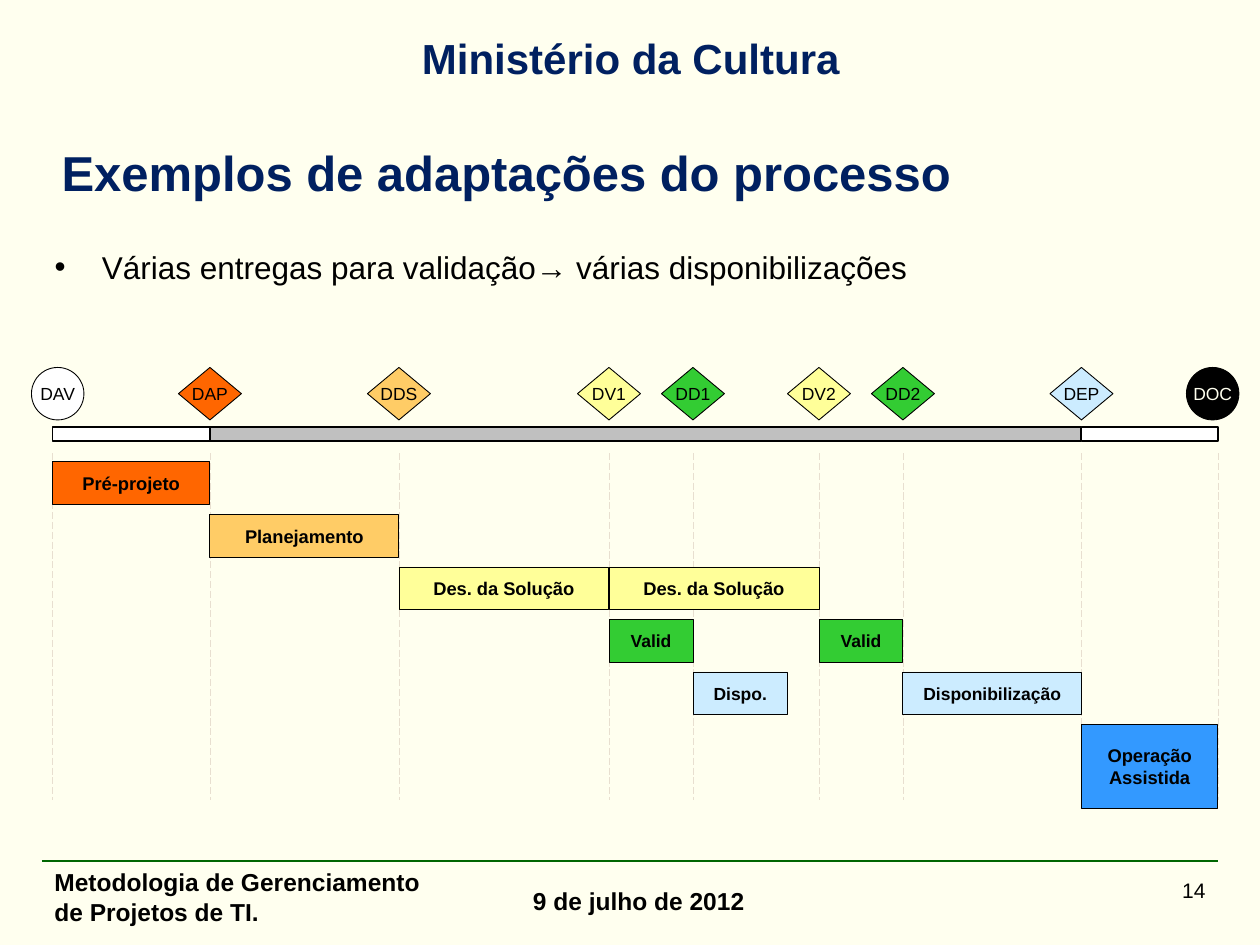
from pptx import Presentation
from pptx import util as u
from pptx.dml.color import RGBColor
from pptx.enum import dml, shapes, text
from pptx.oxml.ns import qn
from lxml import etree

Pt = u.Pt
THEME = {
    "font": "Arial",
    "page": "FFFFEF", "ink": "000000", "heading": "002060", "rule": "006600",
    "guide": "E8DFD0", "white": "FFFFFF", "grey": "C0C0C0",
    "orange": "FF6600", "amber": "FFCC66", "yellow": "FFFF99",
    "green": "33CC33", "pale": "CCECFF", "blue": "3399FF",
    "title": 28, "header": 24, "body": 18, "footer": 14, "number": 12,
    "phase": 10.5, "small": 10,
}
LEFT, CENTER, RIGHT = text.PP_ALIGN.LEFT, text.PP_ALIGN.CENTER, text.PP_ALIGN.RIGHT
TOP, MIDDLE = text.MSO_ANCHOR.TOP, text.MSO_ANCHOR.MIDDLE


def write(box, words, size, color="ink", bold=False, align=LEFT, anchor=TOP, wrap=True):
    frame = box.text_frame
    frame_format = {"word_wrap": wrap, "vertical_anchor": anchor,
                    "auto_size": text.MSO_AUTO_SIZE.NONE}
    for name, value in frame_format.items():
        setattr(frame, name, value)
    para = frame.paragraphs[0]
    para.alignment = align
    span = para.add_run()
    span.text = words
    font_format = {"name": THEME["font"], "size": Pt(THEME[size]), "bold": bold}
    for name, value in font_format.items():
        setattr(span.font, name, value)
    span.font.color.rgb = RGBColor.from_string(THEME[color])


def add_block(kind, left, top, width, height, fill, line_width=0.5):
    block = page.shapes.add_shape(kind, Pt(left), Pt(top), Pt(width), Pt(height))
    block.shadow.inherit = False
    block.fill.solid()
    block.fill.fore_color.rgb = RGBColor.from_string(THEME[fill])
    block.line.color.rgb = RGBColor.from_string(THEME["ink"])
    block.line.width = Pt(line_width)
    return block


deck = Presentation()
deck.slide_width, deck.slide_height = Pt(720), Pt(540)
page = deck.slides.add_slide(deck.slide_layouts[1])
page.background.fill.solid()
page.background.fill.fore_color.rgb = RGBColor.from_string(THEME["page"])

# Title and list placeholders
title, body = page.placeholders
placeholders = [
    (title, (28, 80.5, 672, 36), "Exemplos de adaptações do processo",
     dict(size="title", color="heading", bold=True, anchor=MIDDLE)),
    (body, (24, 138, 672, 342), "Várias entregas para validação→ várias disponibilizações",
     dict(size="body")),
]
for box, place, words, style in placeholders:
    for name, value in zip(("left", "top", "width", "height"), place):
        setattr(box, name, Pt(value))
    write(box, words, **style)

# Header and footer texts
labels = [
    ((34, 15, 653, 36), "Ministério da Cultura",
     dict(size="header", color="heading", bold=True, align=CENTER)),
    ((24, 492, 238, 36), "Metodologia de Gerenciamento de Projetos de TI.",
     dict(size="footer", bold=True)),
    ((297.5, 502.5, 158, 28), "9 de julho de 2012", dict(size="footer", bold=True)),
    ((546, 498, 150, 36), "14", dict(size="number", align=RIGHT)),
]
for place, words, style in labels:
    write(page.shapes.add_textbox(*map(Pt, place)), words, **style)

# Position of each milestone along the timeline
DATES = {"DAV": 30, "DAP": 120, "DDS": 228, "DV1": 348, "DD1": 396,
         "DV2": 468, "DD2": 516, "DEP": 618, "DOC": 696}

# Footer rule and dashed guides under the milestones
rules = [(24, 492, 696, 492, "rule", 0.75, None)]
rules += [(x, 259, x, 457, "guide", 0.5, dml.MSO_LINE.LONG_DASH) for x in DATES.values()]
for x1, y1, x2, y2, color, width, dash in rules:
    rule = page.shapes.add_connector(shapes.MSO_CONNECTOR.STRAIGHT, Pt(x1), Pt(y1), Pt(x2), Pt(y2))
    rule.line.color.rgb = RGBColor.from_string(THEME[color])
    rule.line.width = Pt(width)
    if dash:
        rule.line.dash_style = dash
    etree.SubElement(rule._element.spPr, qn("a:effectLst"))

# Timeline bar
for start, end, fill in [("DAP", "DEP", "grey"), ("DAV", "DAP", "white"), ("DEP", "DOC", "white")]:
    add_block(shapes.MSO_SHAPE.RECTANGLE, DATES[start], 244, DATES[end] - DATES[start], 8, fill, 1)

# Phases, one row step down at a time
ROW_TOP, ROW_STEP, ROW_HEIGHT = 264, 30, 24.5
phases = [
    ("Pré-projeto", 0, "DAV", "DAP", "orange", "phase"),
    ("Planejamento", 1, "DAP", "DDS", "amber", "phase"),
    ("Des. da Solução", 2, "DDS", "DV1", "yellow", "phase"),
    ("Des. da Solução", 2, "DV1", "DV2", "yellow", "phase"),
    ("Valid", 3, "DV1", "DD1", "green", "small"),
    ("Valid", 3, "DV2", "DD2", "green", "small"),
    ("Dispo.", 4, "DD1", None, "pale", "small"),
    ("Disponibilização", 4, "DD2", "DEP", "pale", "small"),
    ("Operação Assistida", 5, "DEP", "DOC", "blue", "phase"),
]
for words, row, start, end, fill, size in phases:
    width = DATES[end] - DATES[start] if end else 54
    height = 48 if row == 5 else ROW_HEIGHT
    phase = add_block(shapes.MSO_SHAPE.RECTANGLE, DATES[start], ROW_TOP + row * ROW_STEP,
                      width, height, fill)
    write(phase, words, size, bold=True, align=CENTER, anchor=MIDDLE)

# Milestones: circles at both ends, diamonds between
fills = ["white", "orange", "amber", "yellow", "green", "yellow", "green", "pale", "ink"]
ends = {"DAV": 33, "DOC": 693}
for (name, x), fill in zip(DATES.items(), fills):
    kind, width = (shapes.MSO_SHAPE.OVAL, 30) if name in ends else (shapes.MSO_SHAPE.DIAMOND, 36)
    mark = add_block(kind, ends.get(name, x) - width / 2, 210, width, 30, fill)
    write(mark, name, "small", "page" if fill == "ink" else "ink",
          align=CENTER, anchor=MIDDLE, wrap=False)

deck.save("out.pptx")
